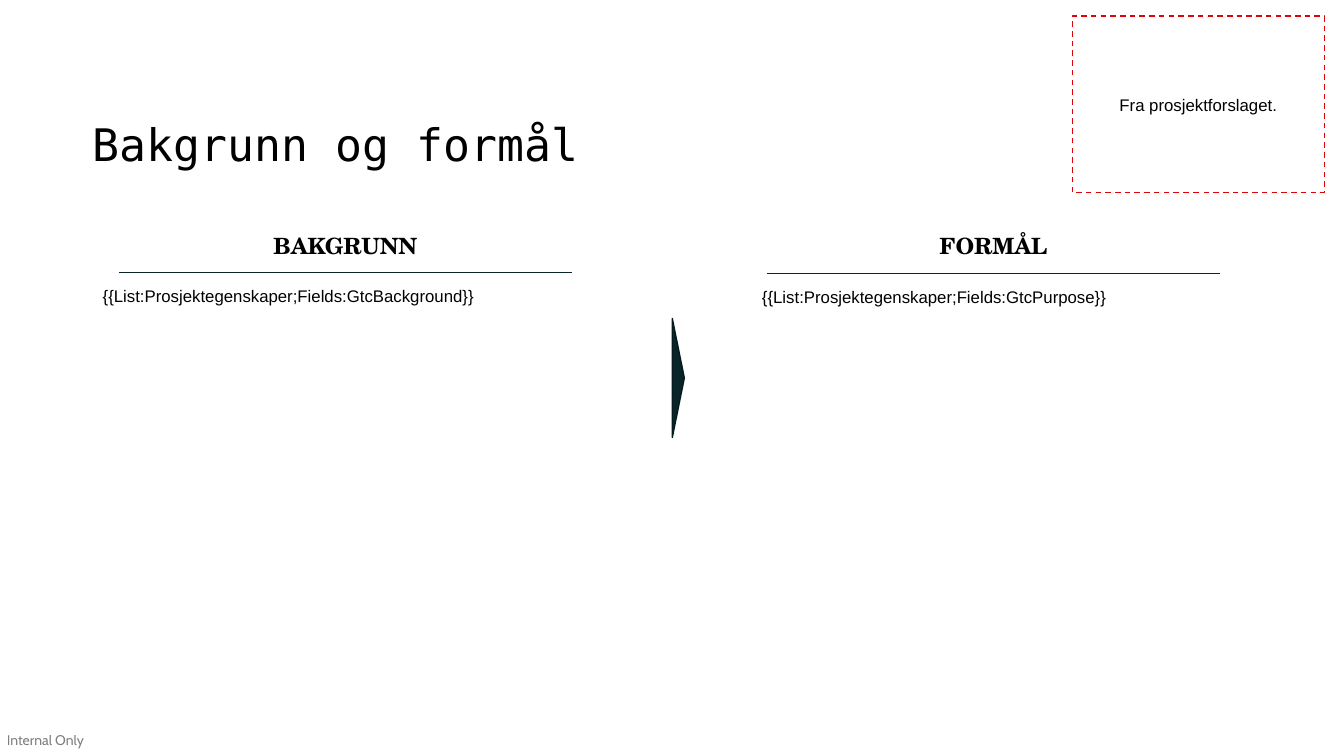
from dataclasses import dataclass

from lxml import etree
from pptx import Presentation
from pptx.dml.color import RGBColor
from pptx.enum.dml import MSO_LINE
from pptx.enum.shapes import MSO_CONNECTOR, MSO_SHAPE
from pptx.enum.text import MSO_ANCHOR, PP_ALIGN
from pptx.oxml.ns import qn
from pptx.util import Pt

LEFT, CENTER = PP_ALIGN.LEFT, PP_ALIGN.CENTER
TOP, MIDDLE, BOTTOM = MSO_ANCHOR.TOP, MSO_ANCHOR.MIDDLE, MSO_ANCHOR.BOTTOM
RECTANGLE, TRIANGLE = MSO_SHAPE.RECTANGLE, MSO_SHAPE.ISOSCELES_TRIANGLE
STRAIGHT, DASH = MSO_CONNECTOR.STRAIGHT, MSO_LINE.DASH


@dataclass(frozen=True)
class Theme:
    text: RGBColor = RGBColor(0x00, 0x00, 0x00)
    paper: RGBColor = RGBColor(0xFF, 0xFF, 0xFF)
    dark: RGBColor = RGBColor(0x09, 0x25, 0x29)
    dark_edge: RGBColor = RGBColor(0x07, 0x1B, 0x1E)
    note_edge: RGBColor = RGBColor(0xE4, 0x00, 0x08)
    title_font: str = "DejaVu Sans Mono"
    heading_font: str = "TeX Gyre Schola"
    body_font: str = "Arial"
    footer_font: str = "Cabin"
    title_size: int = 32
    heading_size: int = 16
    body_size: int = 12
    footer_size: int = 10


THEME = Theme()


def write(shape, text, font, size, bold=False, align=LEFT, anchor=TOP, insets=(7.2, 3.6)):
    """Fill a shape with one styled paragraph; insets are (horizontal, vertical)."""
    frame = shape.text_frame
    frame.word_wrap = True
    frame.vertical_anchor = anchor
    frame.margin_left = frame.margin_right = Pt(insets[0])
    frame.margin_top = frame.margin_bottom = Pt(insets[1])
    paragraph = frame.paragraphs[0]
    paragraph.text = text
    paragraph.alignment = align
    paragraph.font.name = font
    paragraph.font.size = Pt(size)
    paragraph.font.bold = bold
    paragraph.font.color.rgb = THEME.text
    return paragraph


def add_text(slide, box, *args, **options):
    return write(slide.shapes.add_textbox(*map(Pt, box)), *args, **options)


def add_outlined_shape(slide, kind, box, fill, edge):
    shape = slide.shapes.add_shape(kind, *map(Pt, box))
    shape.shadow.inherit = False
    shape.fill.solid()
    shape.fill.fore_color.rgb = fill
    shape.line.color.rgb = edge
    shape.line.width = Pt(1)
    return shape


def add_footer(slide, box):
    paragraph = add_text(slide, box, "Internal Only", THEME.footer_font,
                         THEME.footer_size, insets=(0, 0))
    for color in paragraph._p.iter(qn("a:srgbClr")):
        etree.SubElement(color, qn("a:alpha"), val="50000")


def add_title(slide, box):
    add_text(slide, box, "Bakgrunn og formål", THEME.title_font,
             THEME.title_size, anchor=BOTTOM, insets=(0, 3.6))


def add_arrow(slide, box):
    """Place a right-pointing triangle, turned from its upright form, in the box."""
    left, top, width, height = box
    upright = (left + (width - height) / 2, top + (height - width) / 2, height, width)
    add_outlined_shape(slide, TRIANGLE, upright, THEME.dark, THEME.dark_edge).rotation = 90


def add_section(slide, box, heading, body, outdent, body_width, rule_offset):
    """Place a heading, a rule under it and body text that starts left of the rule."""
    left, top, width, height = box
    add_text(slide, (left, top, width, 26.6), heading, THEME.heading_font,
             THEME.heading_size, bold=True, align=CENTER)
    rule_top = top + rule_offset
    rule = slide.shapes.add_connector(STRAIGHT, Pt(left), Pt(rule_top),
                                      Pt(left + width), Pt(rule_top))
    rule.line.color.rgb = THEME.dark
    rule.line.width = Pt(0.5)
    etree.SubElement(rule._element.spPr, qn("a:effectLst"))
    body_top = rule_top + 5.8
    add_text(slide, (left - outdent, body_top, body_width, top + height - body_top),
             body, THEME.body_font, THEME.body_size)


def add_note(slide, box):
    note = add_outlined_shape(slide, RECTANGLE, box, THEME.paper, THEME.note_edge)
    note.line.dash_style = DASH
    write(note, "Fra prosjektforslaget.", THEME.body_font, THEME.body_size,
          align=CENTER, anchor=MIDDLE)


def main():
    presentation = Presentation()
    presentation.slide_width, presentation.slide_height = Pt(960), Pt(540)
    slide = presentation.slides.add_slide(presentation.slide_layouts[6])
    add_footer(slide, (5, 522.7, 57.6, 12.2))
    add_title(slide, (66.2, 40.3, 828, 85))
    add_arrow(slide, (480.2, 227.5, 8.6, 85))
    add_section(slide, (85, 162, 323.3, 234.7), "BAKGRUNN",
                "{{List:Prosjektegenskaper;Fields:GtcBackground}}", 18.7, 357, 32.4)
    add_section(slide, (548, 162, 323.3, 167), "FORMÅL",
                "{{List:Prosjektegenskaper;Fields:GtcPurpose}}", 10.8, 366.5, 33.2)
    add_note(slide, (766, 11.5, 180, 126))
    presentation.save("out.pptx")


if __name__ == "__main__":
    main()
